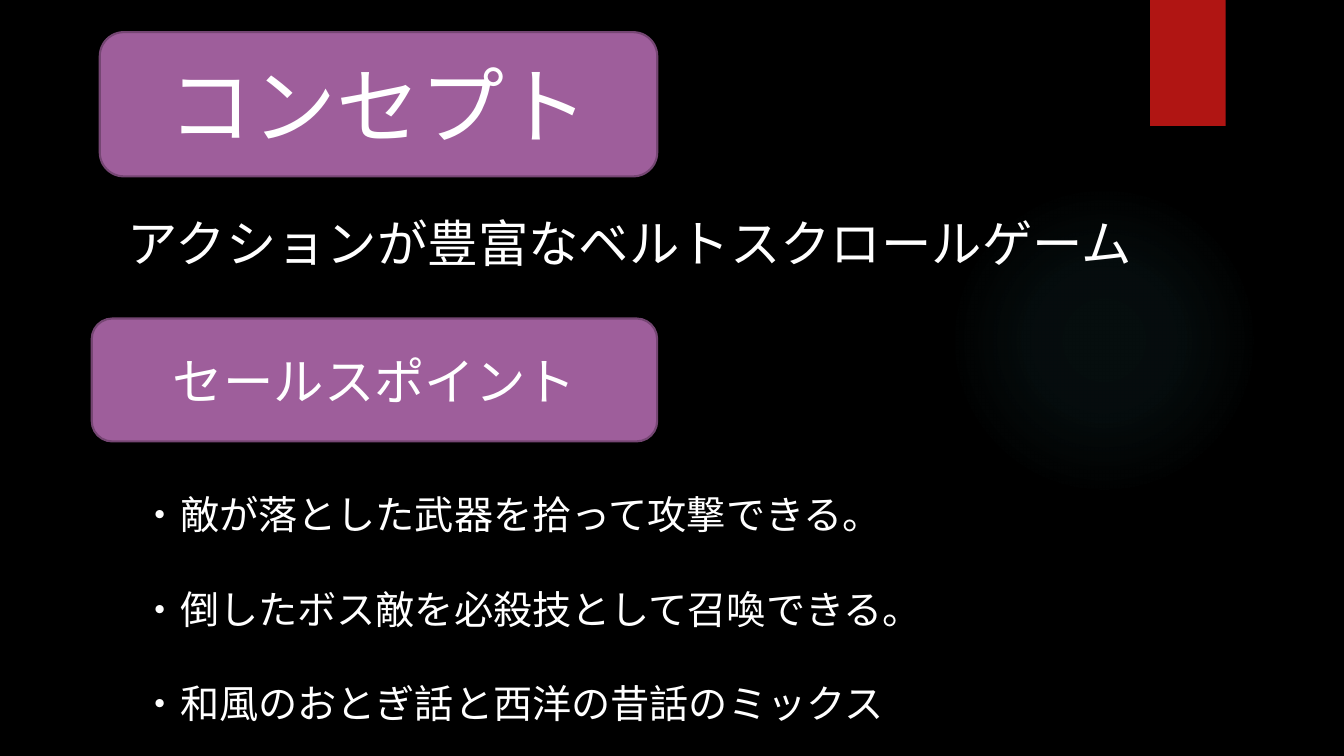
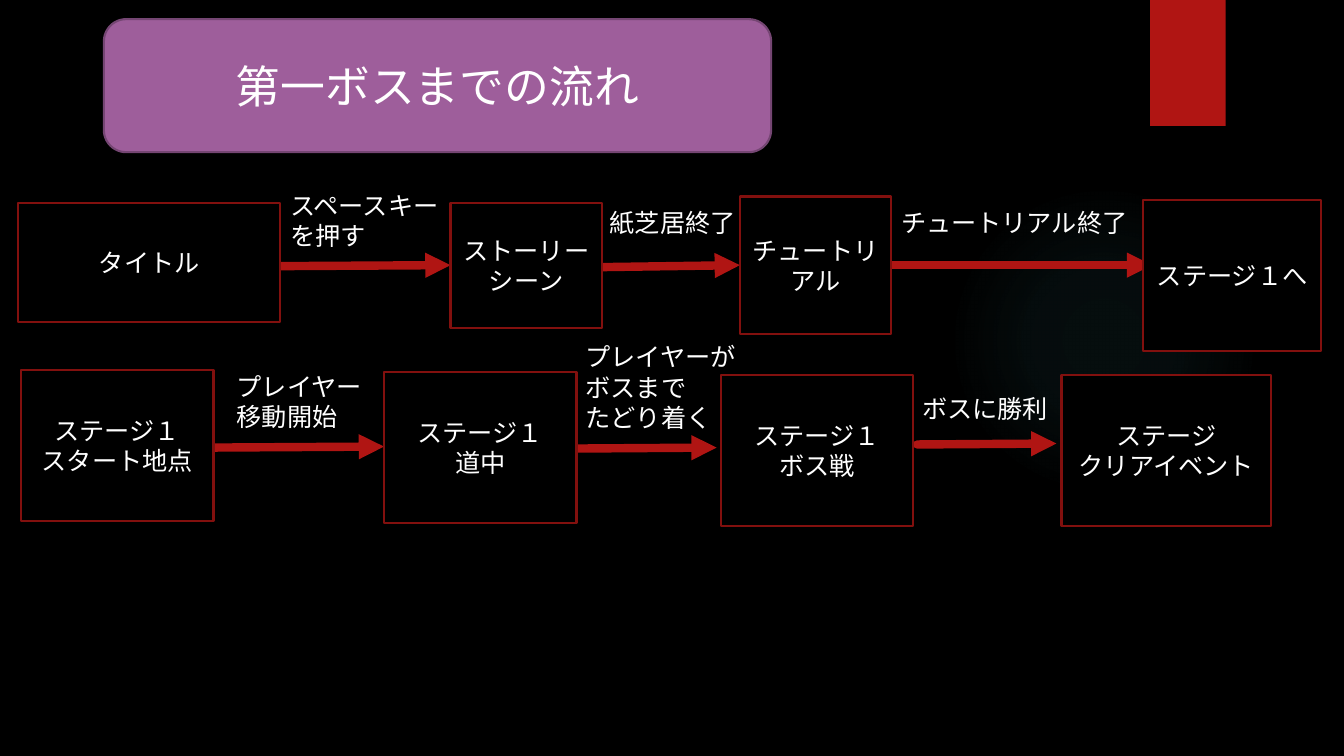
from lxml import etree
from pptx import Presentation
from pptx.dml.color import RGBColor
from pptx.enum.shapes import MSO_CONNECTOR, MSO_SHAPE
from pptx.enum.text import MSO_ANCHOR, MSO_AUTO_SIZE, PP_ALIGN
from pptx.oxml import parse_xml
from pptx.oxml.ns import qn
from pptx.util import Pt

RECTANGLE = MSO_SHAPE.RECTANGLE
ROUNDED = MSO_SHAPE.ROUNDED_RECTANGLE
PROCESS = MSO_SHAPE.FLOWCHART_PROCESS
ELLIPSE = MSO_SHAPE.OVAL
STRAIGHT = MSO_CONNECTOR.STRAIGHT
LEFT, CENTER = PP_ALIGN.LEFT, PP_ALIGN.CENTER
TOP, MIDDLE = MSO_ANCHOR.TOP, MSO_ANCHOR.MIDDLE
FIT_SHAPE = MSO_AUTO_SIZE.SHAPE_TO_FIT_TEXT

FONT = "TeX Gyre Adventor"
BLACK, WHITE = "000000", "FFFFFF"
RED, DARK_RED = "B01513", "82100E"
PURPLE, DARK_PURPLE = "9E5E9B", "754673"
TEAL = "50B9C1"
DRAWING_NS = 'xmlns:a="http://schemas.openxmlformats.org/drawingml/2006/main"'


def color(hex_text):
    """Turn a hex string into a colour."""
    return RGBColor.from_string(hex_text)


def points(*lengths):
    """Turn numbers into lengths in points."""
    return [Pt(length) for length in lengths]


def write(frame, text, size=18, align=LEFT, anchor=TOP, before=0, gap=0):
    """Write one paragraph per line of text; gap separates the paragraphs."""
    frame.word_wrap = True
    frame.vertical_anchor = anchor
    for index, line in enumerate(text.split("\n")):
        para = frame.add_paragraph() if index else frame.paragraphs[0]
        para.alignment = align
        para.space_before = Pt(gap if index else before)
        span = para.add_run()
        span.text = line
        span.font.size = Pt(size)
        span.font.color.rgb = color(WHITE)
        span.font.name = FONT
        east_asian = etree.SubElement(span.font._element, qn("a:ea"))
        east_asian.set("typeface", FONT)


def add_text(page, box, text, **text_format):
    """Add a text box that grows with its text."""
    frame = page.shapes.add_textbox(*points(*box)).text_frame
    write(frame, text, **text_format)
    frame.auto_size = FIT_SHAPE


def add_shape(page, kind, box, fill=None, line=None):
    """Add a flat preset shape, outlined if a line colour is given."""
    shape = page.shapes.add_shape(kind, *points(*box))
    shape.shadow.inherit = False
    if fill:
        shape.fill.solid()
        shape.fill.fore_color.rgb = color(fill)
    else:
        shape.fill.background()
    if line:
        shape.line.color.rgb = color(line)
        shape.line.width = Pt(1.5)
    else:
        shape.line.fill.background()
    return shape


def add_banner(page, box, text, size):
    """Add a purple rounded heading."""
    banner = add_shape(page, ROUNDED, box, PURPLE, DARK_PURPLE)
    write(banner.text_frame, text, size=size, align=CENTER, anchor=MIDDLE)


def add_halo(page, box):
    """Add a faint round glow that fades outwards."""
    halo = add_shape(page, ELLIPSE, box)
    stops = "".join(
        f'<a:gs pos="{place * 1000}"><a:srgbClr val="{TEAL}">'
        f'<a:alpha val="{alpha * 1000}"/></a:srgbClr></a:gs>'
        for place, alpha in [(0, 7), (36, 6), (69, 0)])
    gradient = parse_xml(
        f'<a:gradFill {DRAWING_NS}><a:gsLst>{stops}</a:gsLst><a:path path="circle">'
        '<a:fillToRect l="50000" t="50000" r="50000" b="50000"/></a:path></a:gradFill>')
    properties = halo._element.spPr
    properties.replace(properties.find(qn("a:noFill")), gradient)


def add_ribbon(page, box):
    """Add the red ribbon with its soft shadow."""
    ribbon = add_shape(page, RECTANGLE, box, RED)
    ribbon._element.spPr.find(qn("a:effectLst")).append(parse_xml(
        f'<a:outerShdw {DRAWING_NS} blurRad="{Pt(3)}" dist="{Pt(2)}" dir="5400000">'
        f'<a:srgbClr val="{BLACK}"><a:alpha val="45000"/></a:srgbClr></a:outerShdw>'))


def add_page(deck):
    """Add a black page with the halo and ribbon all pages share."""
    page = deck.slides.add_slide(deck.slide_layouts[6])
    page.background.fill.solid()
    page.background.fill.fore_color.rgb = color(BLACK)
    add_halo(page, (677.5, 131.8, 221.8, 221.8))
    add_ribbon(page, (821.5, 0, 54, 90))
    return page


def add_arrow(page, ends):
    """Add a thick red arrow with a round start."""
    arrow = page.shapes.add_connector(STRAIGHT, *points(*ends))
    arrow.line.color.rgb = color(RED)
    arrow.line.width = Pt(6)
    outline = arrow.line._ln
    outline.set("cap", "rnd")
    etree.SubElement(outline, qn("a:tailEnd")).set("type", "triangle")
    etree.SubElement(arrow._element.spPr, qn("a:effectLst"))


def add_flow_row(page, origin, steps, links):
    """Add a row of steps and labelled arrows, placed from its origin."""
    left, top = origin
    for text, (x, y, width, height), (x1, y1, x2, y2) in links:
        add_arrow(page, (left + x1, top + y1, left + x2, top + y2))
        add_text(page, (left + x, top + y, width, height), text)
    for text, kind, (x, y, width, height) in steps:
        box = (left + x, top + y, width, height)
        step = add_shape(page, kind, box, BLACK, DARK_RED)
        write(step.text_frame, text, align=CENTER, anchor=MIDDLE)


def add_concept_page(deck):
    """Add the page with the concept and the selling points."""
    page = add_page(deck)
    add_text(page, (84.2, 148.3, 771.1, 78.5),
             "アクションが豊富なベルトスクロールゲーム", size=36, before=10)
    add_banner(page, (71.3, 23, 398.2, 103), "コンセプト", 60)
    add_banner(page, (65.5, 227.5, 403.9, 87.8), "セールスポイント", 36)
    add_text(page, (93.6, 347, 737.3, 177.1),
             "・敵が落とした武器を拾って攻撃できる。\n"
             "・倒したボス敵を必殺技として召喚できる。\n"
             "・和風のおとぎ話と西洋の昔話のミックス", size=28, gap=33.6)


def add_flow_page(deck):
    """Add the page with the flow up to the first boss."""
    page = add_page(deck)
    add_banner(page, (74.2, 13.7, 476.6, 95), "第一ボスまでの流れ", 32)
    add_flow_row(page, (13, 140), [
        ("タイトル", RECTANGLE, (0, 4.7, 187.2, 85)),
        ("ストーリーシーン", PROCESS, (308.8, 4.7, 108, 89.3)),
        ("チュートリアル", PROCESS, (515.5, 0.4, 108, 97.9)),
        ("ステージ１へ", PROCESS, (803.5, 2.6, 127.4, 108)),
    ], [
        ("スペースキーを押す", (187.2, -7.5, 129.6, 51.1), (187.2, 50.1, 308.8, 49.4)),
        ("紙芝居終了", (415.4, 4.7, 106.6, 28.8), (416.8, 50.8, 515.5, 49.4)),
        ("チュートリアル終了", (623.5, 4.7, 179.3, 28.8), (623.5, 49.4, 810, 49.4)),
    ])
    add_flow_row(page, (15, 264), [
        ("ステージ１\nスタート地点", PROCESS, (0, 0.2, 137.5, 108)),
        ("ステージ１\n道中", PROCESS, (259.3, 1.7, 137.5, 108)),
        ("ステージ１\nボス戦", PROCESS, (499.8, 3.8, 137.5, 108)),
        ("ステージ\nクリアイベント", PROCESS, (743.2, 3.8, 149.8, 108)),
    ], [
        ("プレイヤー\n移動開始", (147, -2.6, 112.3, 51.1), (137.6, 55.7, 259.3, 55)),
        ("プレイヤーがボスまで\nたどり着く", (396.1, -23.5, 128.2, 72.7),
         (398.3, 56.4, 496.9, 55.7)),
        ("ボスに勝利", (636.6, 13.2, 128.2, 28.8), (640.2, 53.5, 739.6, 52.8)),
    ])


deck = Presentation()
deck.slide_width, deck.slide_height = points(960, 540)
add_concept_page(deck)
add_flow_page(deck)
deck.save("out.pptx")
